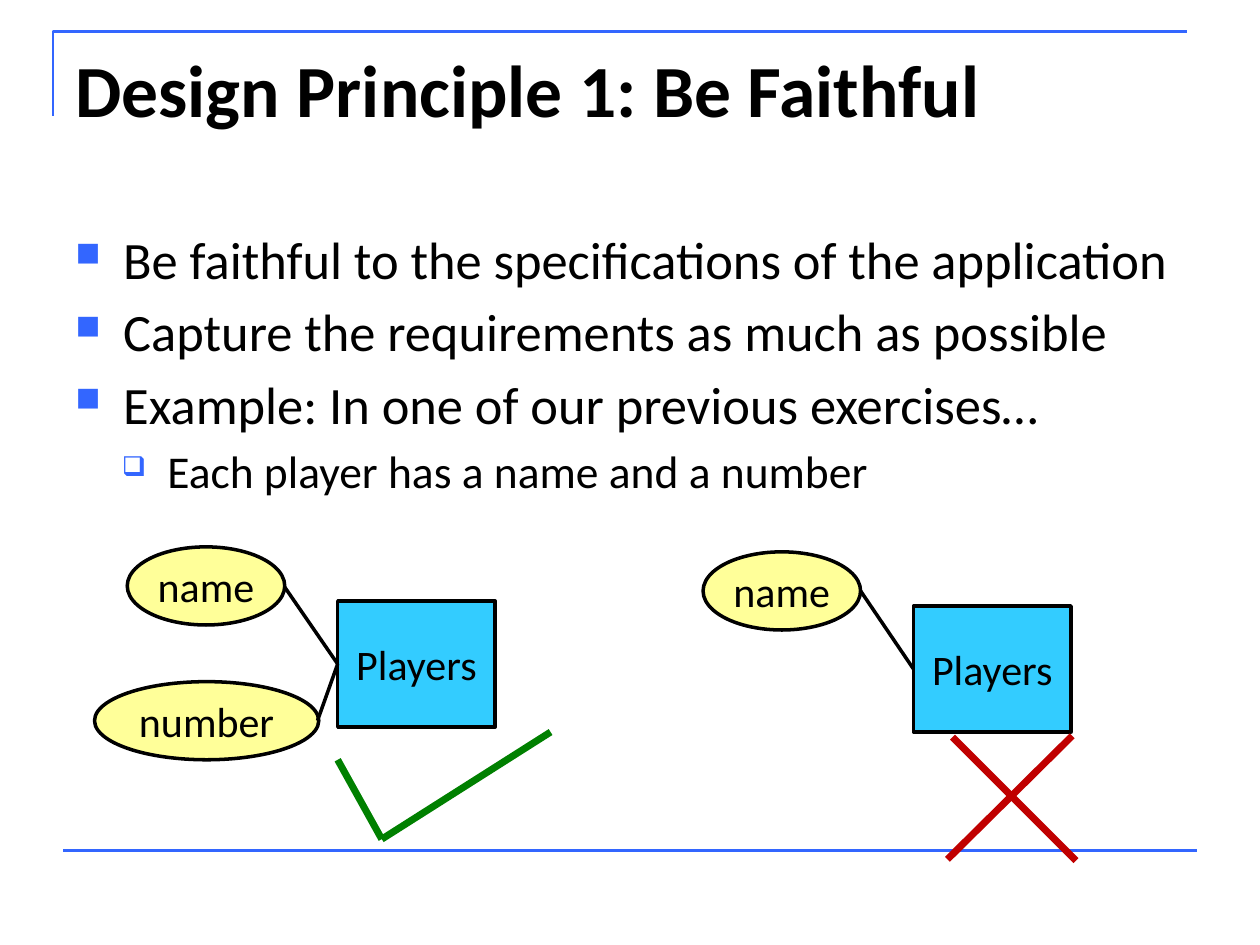
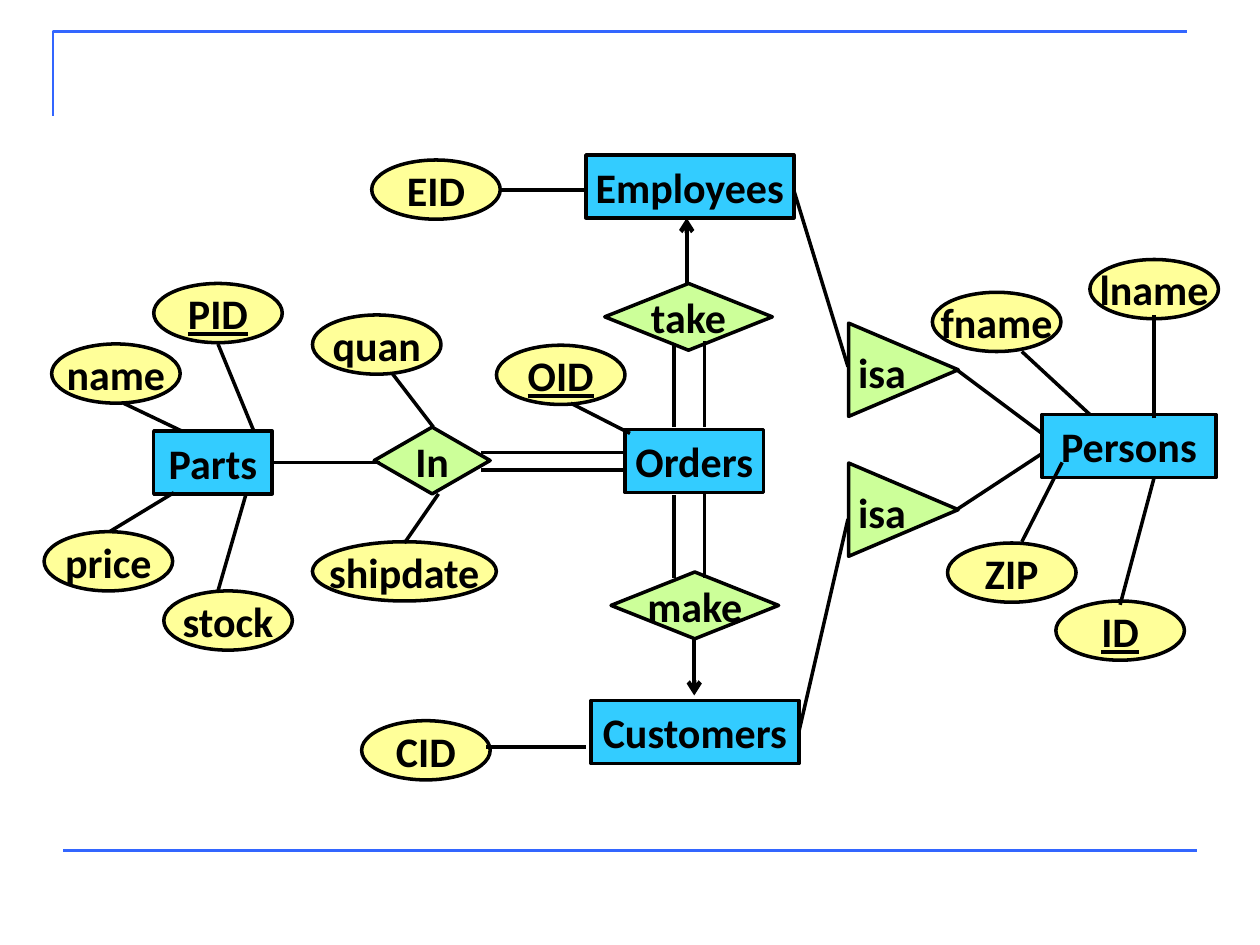
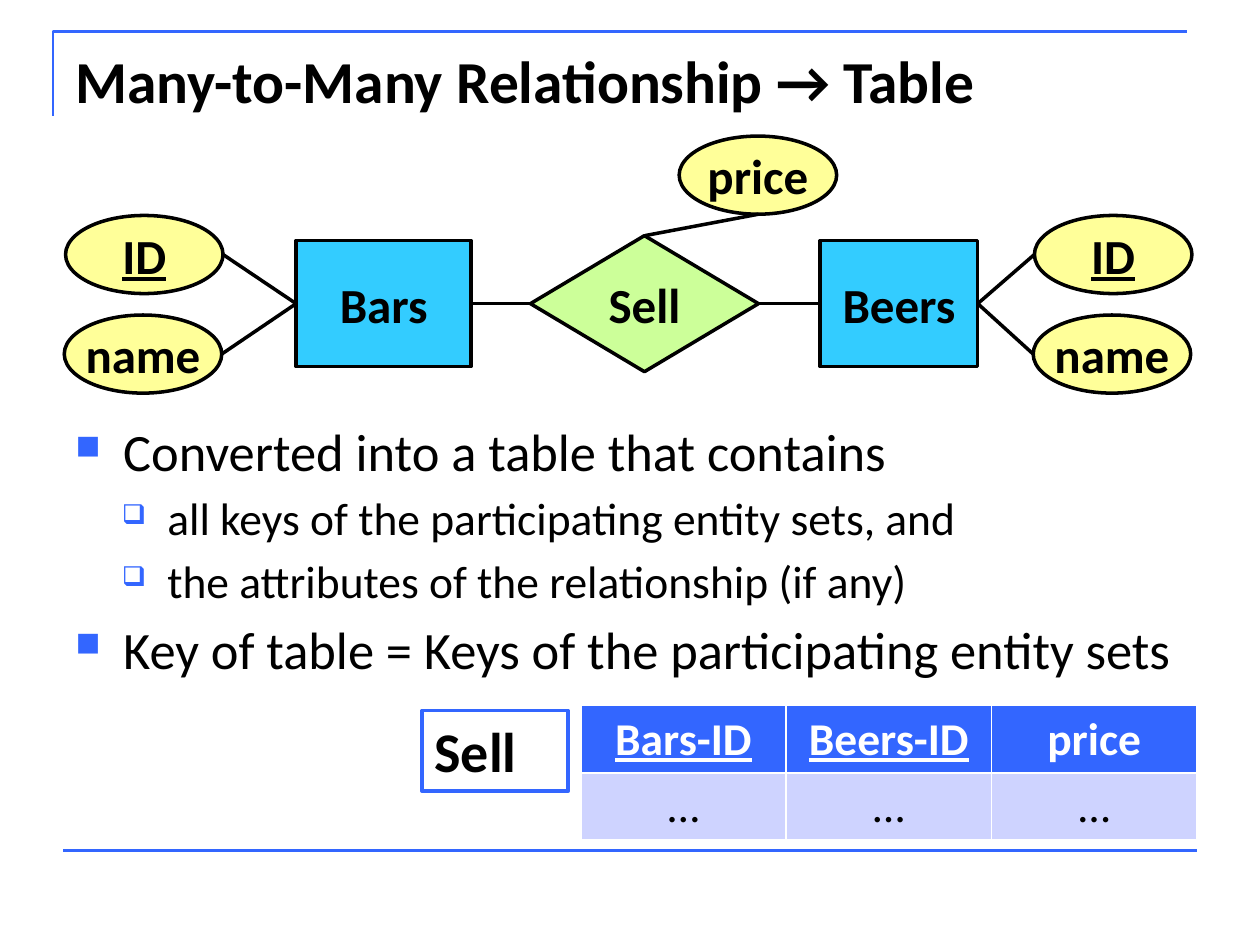
"""Builds three slides on entity-relationship design."""
from lxml.etree import SubElement
from pptx import Presentation
from pptx.dml.color import RGBColor
from pptx.enum.shapes import MSO_CONNECTOR, MSO_SHAPE
from pptx.enum.text import MSO_ANCHOR, PP_ALIGN
from pptx.oxml.ns import qn
from pptx.util import Pt

PX = 9144
FONT = "Calibri"
BLACK = RGBColor(0x00, 0x00, 0x00)
WHITE = RGBColor(0xFF, 0xFF, 0xFF)
BLUE = RGBColor(0x33, 0x66, 0xFF)
SKY = RGBColor(0x33, 0xCC, 0xFF)
YELLOW = RGBColor(0xFF, 0xFF, 0x99)
LIME = RGBColor(0xCC, 0xFF, 0x99)
LAVENDER = RGBColor(0xCE, 0xD3, 0xFF)
GREEN = RGBColor(0x00, 0x80, 0x00)
RED = RGBColor(0xC0, 0x00, 0x00)

ENTITY = (MSO_SHAPE.RECTANGLE, SKY)
ATTRIBUTE = (MSO_SHAPE.OVAL, YELLOW)
RELATIONSHIP = (MSO_SHAPE.DIAMOND, LIME)
SUBCLASS = (MSO_SHAPE.ISOSCELES_TRIANGLE, LIME)

BULLETS = [
    {"symbol": "■", "percent": 65, "margin": 38, "hanging": 38, "size": 30, "before": 5.5},
    {"symbol": "❑", "percent": 60, "margin": 73, "hanging": 36, "size": 26, "before": 4.5},
]


def emu(*lengths):
    """Turn px lengths into EMU."""
    return [length * PX for length in lengths]


def add_run(paragraph, text, size, color=BLACK, bold=False, underline=False):
    """Add one formatted run to a paragraph."""
    run = paragraph.add_run()
    run.text = text
    run.font.name = FONT
    run.font.size = Pt(size)
    run.font.bold = bold
    run.font.underline = underline
    run.font.color.rgb = color


def add_link(slide, start_x, start_y, end_x, end_y, color=BLACK, width=2, arrow=False):
    """Draw a straight line, with an arrowhead at its end if wanted."""
    connector = slide.shapes.add_connector(
        MSO_CONNECTOR.STRAIGHT, *emu(start_x, start_y, end_x, end_y))
    connector.line.color.rgb = color
    connector.line.width = Pt(width)
    properties = connector.element.spPr
    if arrow:
        SubElement(properties.find(qn("a:ln")), qn("a:tailEnd"), type="arrow")
    SubElement(properties, qn("a:effectLst"))


def add_links(slide, links, **style):
    """Draw several lines in one style."""
    for link in links:
        add_link(slide, *link, **style)


def add_box(slide, preset, box, fill, line):
    """Add a flat filled shape with an outline."""
    shape = slide.shapes.add_shape(preset, *emu(*box))
    shape.shadow.inherit = False
    shape.fill.solid()
    shape.fill.fore_color.rgb = fill
    shape.line.color.rgb = line
    shape.line.width = Pt(2)
    return shape


def add_node(slide, kind, text, box, size=24, bold=True, key=False):
    """Add a diagram node with centred text, underlined for a key."""
    preset, fill = kind
    shape = add_box(slide, preset, box, fill, BLACK)
    frame = shape.text_frame
    frame.word_wrap = False
    frame.vertical_anchor = MSO_ANCHOR.MIDDLE
    paragraph = frame.paragraphs[0]
    paragraph.alignment = PP_ALIGN.CENTER
    add_run(paragraph, text, size, bold=bold, underline=key)


def add_subclass(slide, box):
    """Add an isa triangle that points right with upright text."""
    preset, fill = SUBCLASS
    shape = add_box(slide, preset, box, fill, BLACK)
    shape.rotation = 90
    frame = shape.text_frame
    frame.word_wrap = False
    frame.vertical_anchor = MSO_ANCHOR.TOP
    frame.margin_left = frame.margin_top = frame.margin_right = frame.margin_bottom = 0
    shape.element.txBody.find(qn("a:bodyPr")).set("vert", "vert270")
    paragraph = frame.paragraphs[0]
    paragraph.alignment = PP_ALIGN.LEFT
    add_run(paragraph, " isa", 24, bold=True)


def add_text_frame(slide, box):
    """Add a wrapping text box and return its frame."""
    frame = slide.shapes.add_textbox(*emu(*box)).text_frame
    frame.word_wrap = True
    return frame


def add_title(slide, text, size):
    """Add the slide title."""
    frame = add_text_frame(slide, (50, 30, 900, 125))
    add_run(frame.paragraphs[0], text, size, bold=True)


def set_bullet(paragraph, bullet):
    """Give a paragraph a coloured bullet with a hanging indent."""
    properties = paragraph._p.get_or_add_pPr()
    properties.set("marL", str(bullet["margin"] * PX))
    properties.set("indent", str(-bullet["hanging"] * PX))
    color = SubElement(properties, qn("a:buClr"))
    SubElement(color, qn("a:srgbClr"), val=str(BLUE))
    SubElement(properties, qn("a:buSzPct"), val=str(bullet["percent"] * 1000))
    SubElement(properties, qn("a:buChar"), char=bullet["symbol"])


def add_bullets(slide, box, items):
    """Add a bulleted list of (level, text) items."""
    frame = add_text_frame(slide, box)
    for index, (level, text) in enumerate(items):
        paragraph = frame.add_paragraph() if index else frame.paragraphs[0]
        bullet = BULLETS[level]
        paragraph.level = level
        set_bullet(paragraph, bullet)
        if index:
            paragraph.space_before = Pt(bullet["before"])
        add_run(paragraph, text, bullet["size"])


def add_table(slide, box, header, values):
    """Add a two-row table; header entries are (text, key)."""
    table = slide.shapes.add_table(2, len(header), *emu(*box)).table
    rows = [
        [(text, BLUE, WHITE, True, key) for text, key in header],
        [(text, LAVENDER, BLACK, False, False) for text in values],
    ]
    for row_index, row in enumerate(rows):
        for column_index, (text, fill, color, bold, key) in enumerate(row):
            cell = table.cell(row_index, column_index)
            cell.fill.solid()
            cell.fill.fore_color.rgb = fill
            paragraph = cell.text_frame.paragraphs[0]
            paragraph.alignment = PP_ALIGN.CENTER
            add_run(paragraph, text, 26, color, bold, key)


def add_table_name(slide, text, box):
    """Add the outlined label beside a table."""
    shape = add_box(slide, MSO_SHAPE.RECTANGLE, box, WHITE, BLUE)
    shape.text_frame.vertical_anchor = MSO_ANCHOR.TOP
    paragraph = shape.text_frame.paragraphs[0]
    paragraph.alignment = PP_ALIGN.LEFT
    add_run(paragraph, text, 32, bold=True)


def add_slide(presentation):
    """Add a blank slide with the corner rule and the bottom rule."""
    slide = presentation.slides.add_slide(presentation.slide_layouts[6])
    builder = slide.shapes.build_freeform(42, 92, scale=PX)
    builder.add_line_segments([(42, 25), (942, 25)], close=False)
    corner = builder.convert_to_shape()
    corner.shadow.inherit = False
    corner.fill.background()
    corner.line.color.rgb = BLUE
    corner.line.width = Pt(1.5)
    add_link(slide, 50, 675, 950, 675, BLUE, 1.5)
    return slide


def build_faithful(presentation):
    """Build the slide on being faithful to the specification."""
    slide = add_slide(presentation)
    add_title(slide, "Design Principle 1: Be Faithful", 42)
    add_bullets(slide, (50, 175, 900, 495), [
        (0, "Be faithful to the specifications of the application"),
        (0, "Capture the requirements as much as possible"),
        (0, "Example: In one of our previous exercises…"),
        (1, "Each player has a name and a number"),
    ])
    for kind, text, box in [
        (ENTITY, "Players", (268, 477, 125, 100)),
        (ATTRIBUTE, "name", (101, 434, 125, 62)),
        (ATTRIBUTE, "number", (75, 541, 178, 62)),
        (ENTITY, "Players", (725, 481, 125, 100)),
        (ATTRIBUTE, "name", (558, 438, 125, 62)),
    ]:
        add_node(slide, kind, text, box, bold=False)
    add_links(slide, [(226, 466, 268, 527), (252, 572, 268, 527), (683, 469, 725, 531)])
    add_links(slide, [(268, 603, 303, 666), (303, 666, 437, 581)], color=GREEN, width=4)
    add_links(slide, [(752, 682, 851, 584), (854, 683, 756, 585)], color=RED, width=4)


def build_orders(presentation):
    """Build the entity-relationship diagram of orders."""
    slide = add_slide(presentation)
    for text, left, top, width in [
        ("Orders", 496, 341, 110), ("Parts", 122, 342, 94), ("Employees", 465, 123, 165),
        ("Customers", 469, 556, 165), ("Persons", 827, 329, 138),
    ]:
        add_node(slide, ENTITY, text, (left, top, width, 50))
    for text, left, top, width in [
        ("In", 297, 339, 92), ("take", 480, 225, 133), ("make", 485, 454, 133),
    ]:
        add_node(slide, RELATIONSHIP, text, (left, top, width, 53))
    for text, left, top in [
        ("OID", 394, 274), ("PID", 122, 225), ("ID", 838, 477), ("quan", 248, 250),
        ("name", 41, 273), ("price", 35, 422), ("stock", 130, 469), ("fname", 740, 232),
        ("lname", 865, 206), ("EID", 295, 127), ("ZIP", 752, 431), ("CID", 287, 572),
    ]:
        add_node(slide, ATTRIBUTE, text, (left, top, 102, 47), key=text in ("OID", "PID", "ID"))
    add_node(slide, ATTRIBUTE, "shipdate", (248, 430, 146, 47))
    for top in (250, 361):
        add_subclass(slide, (680, top, 74, 87))
    add_links(slide, [
        (453, 320, 500, 344), (217, 367, 302, 367), (311, 296, 344, 339),
        (321, 431, 348, 392), (173, 273, 201, 341), (138, 391, 87, 422),
        (98, 320, 144, 342), (195, 393, 173, 469), (865, 329, 811, 279),
        (916, 332, 916, 250), (397, 151, 465, 151), (811, 430, 843, 367),
        (386, 593, 465, 593), (630, 151, 673, 291), (634, 581, 673, 412),
        (760, 294, 827, 344), (889, 480, 916, 379), (760, 404, 827, 360),
        (559, 271, 559, 339), (535, 339, 535, 273), (559, 391, 559, 459),
        (535, 459, 535, 393), (382, 359, 496, 359), (382, 373, 496, 373),
    ])
    add_links(slide, [(545, 225, 545, 173), (551, 507, 551, 552)], width=2.5, arrow=True)


def build_many_to_many(presentation):
    """Build the slide that turns a relationship into a table."""
    slide = add_slide(presentation)
    add_title(slide, "Many-to-Many Relationship → Table", 34)
    add_bullets(slide, (50, 328, 900, 276), [
        (0, "Converted into a table that contains"),
        (1, "all keys of the participating entity sets, and"),
        (1, "the attributes of the relationship (if any)"),
        (0, "Key of table = Keys of the participating entity sets"),
    ])
    add_table(slide, (461, 560, 489, 106),
              [("Bars-ID", True), ("Beers-ID", True), ("price", False)], ["…"] * 3)
    add_table_name(slide, "Sell", (335, 564, 116, 64))
    for kind, text, box in [
        (ENTITY, "Beers", (651, 191, 125, 100)),
        (ENTITY, "Bars", (235, 191, 139, 100)),
        (RELATIONSHIP, "Sell", (421, 187, 181, 108)),
        (ATTRIBUTE, "ID", (52, 171, 125, 62)),
        (ATTRIBUTE, "name", (51, 250, 125, 62)),
        (ATTRIBUTE, "ID", (821, 171, 125, 62)),
        (ATTRIBUTE, "name", (820, 250, 125, 62)),
        (ATTRIBUTE, "price", (539, 108, 125, 62)),
    ]:
        add_node(slide, kind, text, box, size=28, key=text == "ID")
    add_links(slide, [
        (374, 241, 421, 241), (602, 241, 651, 241), (177, 202, 235, 241),
        (176, 281, 235, 241), (821, 202, 776, 241), (776, 241, 820, 281),
        (512, 187, 602, 170),
    ])


def main():
    """Build and save the presentation."""
    presentation = Presentation()
    presentation.slide_width, presentation.slide_height = emu(1000, 750)
    build_faithful(presentation)
    build_orders(presentation)
    build_many_to_many(presentation)
    presentation.save("out.pptx")


if __name__ == "__main__":
    main()
